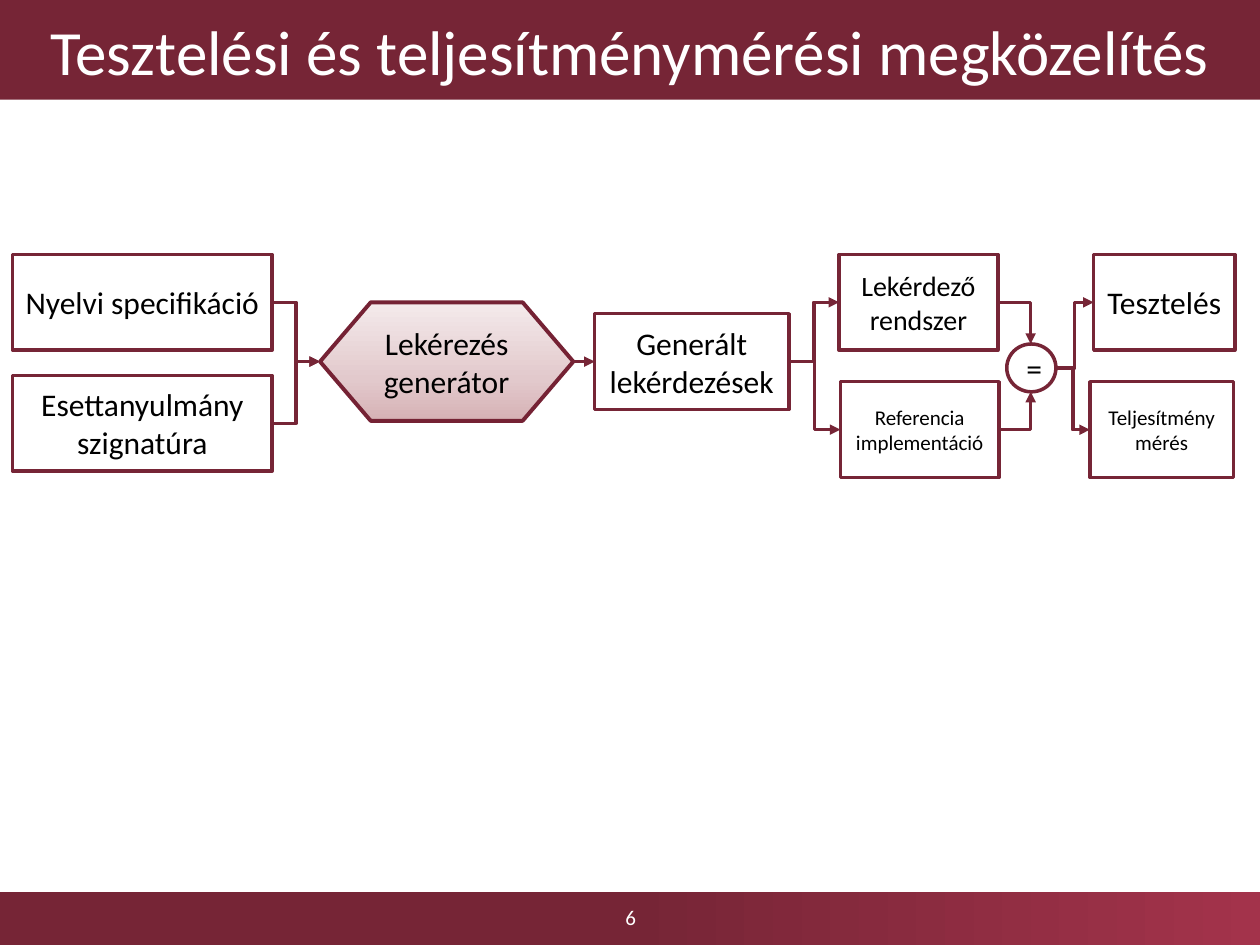
from copy import deepcopy

from pptx import Presentation
from pptx.dml.color import RGBColor
from pptx.enum.shapes import MSO_CONNECTOR, MSO_SHAPE
from pptx.enum.text import MSO_ANCHOR, PP_ALIGN
from pptx.oxml.ns import qn
from pptx.util import Inches, Pt
from lxml import etree

RECTANGLE = MSO_SHAPE.RECTANGLE
PROCESS = MSO_SHAPE.FLOWCHART_PROCESS
PREPARATION = MSO_SHAPE.FLOWCHART_PREPARATION
OVAL = MSO_SHAPE.OVAL
STRAIGHT = MSO_CONNECTOR.STRAIGHT
ELBOW = MSO_CONNECTOR.ELBOW
TOP, LEFT, BOTTOM, RIGHT = range(4)

COLORS = {
    "maroon": "762536",
    "crimson": "A3334B",
    "generator_line": "752234",
    "rose_dark": "D6B1B5",
    "rose": "E2C9CC",
    "rose_light": "F4EAEB",
    "white": "FFFFFF",
    "black": "000000",
}
FONT = "Calibri"

presentation = Presentation()
presentation.slide_width = Inches(10)
presentation.slide_height = Inches(7.5)
slide = presentation.slides.add_slide(presentation.slide_layouts[6])


def add_block(kind, box, fill, text="", size=18, text_color="black",
              line=None, line_width=2):
    """Add a shape with centred text; a list as fill means gradient stops."""
    shape = slide.shapes.add_shape(kind, *(Inches(value) for value in box))
    shape.shadow.inherit = False
    if fill is None:
        shape.fill.background()
    elif isinstance(fill, list):
        shape.fill.gradient()
        stop_list = shape._element.spPr.find(".//" + qn("a:gsLst"))
        stop_list.insert(1, deepcopy(stop_list[0]))
        for stop, (position, color) in zip(shape.fill.gradient_stops, fill):
            stop.position = position
            stop.color.rgb = RGBColor.from_string(COLORS[color])
    else:
        shape.fill.solid()
        shape.fill.fore_color.rgb = RGBColor.from_string(COLORS[fill])
    if line:
        shape.line.color.rgb = RGBColor.from_string(COLORS[line])
        shape.line.width = Pt(line_width)
    else:
        shape.line.fill.background()
    if text:
        frame = shape.text_frame
        frame.text = text
        frame.word_wrap = True
        frame.vertical_anchor = MSO_ANCHOR.MIDDLE
        paragraph = frame.paragraphs[0]
        paragraph.alignment = PP_ALIGN.CENTER
        font = paragraph.runs[0].font
        font.name = FONT
        font.size = Pt(size)
        font.color.rgb = RGBColor.from_string(COLORS[text_color])
    return shape


# Title bar, footer bar and slide number
footer = add_block(RECTANGLE, (0, 7.08, 10, 0.42),
                   [(0, "maroon"), (0.5, "maroon"), (1, "crimson")])
footer.fill.gradient_angle = 0
add_block(RECTANGLE, (0, 0, 10, 0.79), "maroon",
          "Tesztelési és teljesítménymérési megközelítés", 36, "white")
add_block(RECTANGLE, (3.88, 7.08, 2.25, 0.4), None, "6", 12, "white")

# Generator
generator = add_block(PREPARATION, (2.54, 2.4, 2.01, 0.94),
                      [(0, "rose_dark"), (0.35, "rose"), (1, "rose_light")],
                      "Lekérezés generátor", line="generator_line", line_width=2.25)
generator.fill.gradient_angle = 90

# Process boxes: name, left, top, width, text, size
BOX_HEIGHT = 0.76
UPPER, LOWER = 2.02, 3.03
PROCESS_BOXES = [
    ("language", 0.1, UPPER, 2.06, "Nyelvi specifikáció", 18),
    ("signature", 0.1, 2.98, 2.06, "Esettanyulmány szignatúra", 18),
    ("queries", 4.72, 2.49, 1.54, "Generált lekérdezések", 18),
    ("system", 6.66, UPPER, 1.26, "Lekérdező rendszer", 16),
    ("reference", 6.67, LOWER, 1.26, "Referencia implementáció", 12),
    ("testing", 8.68, UPPER, 1.12, "Tesztelés", 18),
    ("performance", 8.65, LOWER, 1.14, "Teljesítmény mérés", 12),
]
blocks = {"generator": generator}
for name, left, top, width, text, size in PROCESS_BOXES:
    blocks[name] = add_block(PROCESS, (left, top, width, BOX_HEIGHT), "white",
                             text, size, line="maroon")

# Comparison circle; its points are given as plain positions
add_block(OVAL, (7.99, 2.73, 0.39, 0.38), "white", "=", line="maroon")
CIRCLE_TOP, CIRCLE_BOTTOM, CIRCLE_RIGHT = (8.18, 2.73), (8.18, 3.11), (8.38, 2.92)

# Arrows: connector type, start, end, preset geometry
ARROWS = [
    (ELBOW, ("language", RIGHT), ("generator", LEFT), "bentConnector3"),
    (ELBOW, ("signature", RIGHT), ("generator", LEFT), "bentConnector3"),
    (STRAIGHT, ("generator", RIGHT), ("queries", LEFT), "line"),
    (ELBOW, ("queries", RIGHT), ("system", LEFT), "bentConnector3"),
    (ELBOW, ("queries", RIGHT), ("reference", LEFT), "bentConnector3"),
    (ELBOW, ("system", RIGHT), CIRCLE_TOP, "bentConnector2"),
    (ELBOW, ("reference", RIGHT), CIRCLE_BOTTOM, "bentConnector2"),
    (ELBOW, CIRCLE_RIGHT, ("testing", LEFT), "bentConnector3"),
    (ELBOW, CIRCLE_RIGHT, ("performance", LEFT), "bentConnector3"),
]
for kind, start, end, geometry in ARROWS:
    start_joined, end_joined = start[0] in blocks, end[0] in blocks
    start_point = (0, 0) if start_joined else start
    end_point = (0, 0) if end_joined else end
    connector = slide.shapes.add_connector(
        kind, *(Inches(value) for value in start_point + end_point))
    if start_joined:
        connector.begin_connect(blocks[start[0]], start[1])
    if end_joined:
        connector.end_connect(blocks[end[0]], end[1])
    connector.line.color.rgb = RGBColor.from_string(COLORS["maroon"])
    connector.line.width = Pt(2)
    properties = connector._element.spPr
    properties.find(qn("a:prstGeom")).set("prst", geometry)
    etree.SubElement(properties.find(qn("a:ln")), qn("a:tailEnd"), type="triangle")
    etree.SubElement(properties, qn("a:effectLst"))

presentation.save("out.pptx")
